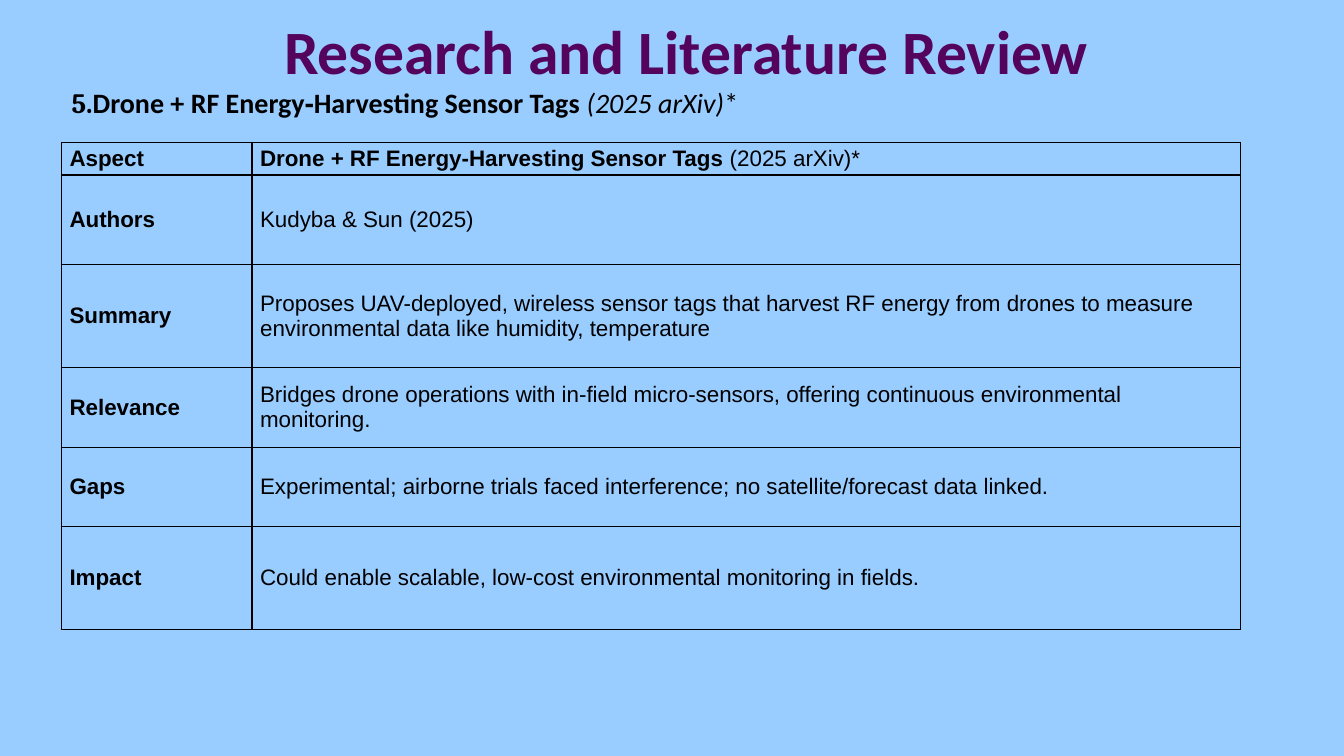
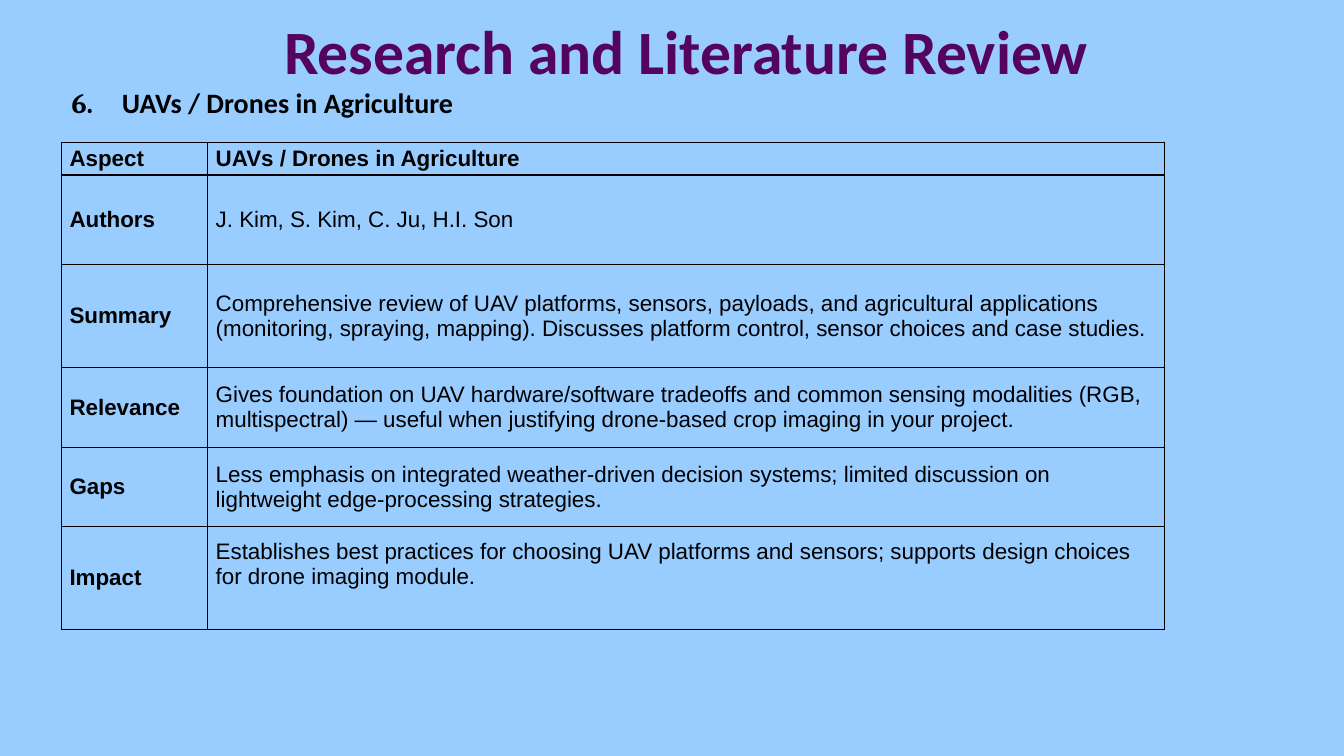
from lxml import etree
from pptx import Presentation, util as u
from pptx.dml.color import RGBColor
from pptx.enum import text
from pptx.oxml import ns

ASPECTS = ["Aspect", "Authors", "Summary", "Relevance", "Gaps", "Impact"]
ROW_HEIGHTS = [0.31, 0.89, 1.02, 0.79, 0.79, 1.02]
BOLD, ITALIC = {"bold": True}, {"italic": True}


def color(code):
    return RGBColor.from_string(code)


def assign(target, values):
    for name, value in values.items():
        setattr(target, name, value)


class Review:
    background = "99CCFF"
    ink = "000000"
    title_ink = "54045C"
    title_font = {"name": "Calibri", "size": u.Pt(44), "bold": True}
    heading_font = {"name": "Calibri", "size": u.Pt(20)}
    cell_font = {"name": "Arial", "size": u.Pt(16), "bold": False}
    cell_frame = {
        "vertical_anchor": text.MSO_ANCHOR.MIDDLE,
        "margin_left": u.Inches(0.08),
        "margin_right": u.Inches(0.08),
        "margin_top": u.Inches(0.04),
        "margin_bottom": u.Inches(0.04),
    }

    def __init__(self):
        self.deck = Presentation()
        assign(self.deck, {"slide_width": u.Inches(13.33), "slide_height": u.Inches(7.5)})
        fill = self.deck.slide_master.background.fill
        fill.solid()
        fill.fore_color.rgb = color(self.background)
        self.page = None

    def add_page(self):
        self.page = self.deck.slides.add_slide(self.deck.slide_layouts[1])

    def place(self, box, *bounds):
        assign(box, dict(zip(("left", "top", "width", "height"), map(u.Inches, bounds))))

    def add_spans(self, para, spans, font, ink):
        for words, extra in spans:
            span = para.add_run()
            span.text = words
            assign(span.font, {**font, **extra})
            span.font.color.rgb = color(ink)

    def title(self, words):
        box = self.page.shapes.title
        self.place(box, 0.81, -0.13, 12, 1.25)
        assign(box.text_frame, {"vertical_anchor": text.MSO_ANCHOR.MIDDLE, "word_wrap": True})
        para = box.text_frame.paragraphs[0]
        para.alignment = text.PP_ALIGN.CENTER
        self.add_spans(para, [(words, {})], self.title_font, self.title_ink)

    def heading(self, number, spans):
        box = self.page.placeholders[1]
        self.place(box, 0.61, 0.8, 12, 4.95)
        assign(box.text_frame, {"auto_size": text.MSO_AUTO_SIZE.NONE, "word_wrap": True})
        para = box.text_frame.paragraphs[0]
        properties = para._p.get_or_add_pPr()
        properties.set("marL", "0")
        properties.set("indent", "0")
        etree.SubElement(properties, ns.qn("a:buNone"))
        stops = etree.SubElement(properties, ns.qn("a:tabLst"))
        etree.SubElement(stops, ns.qn("a:tab"), pos=str(u.Inches(0.34)), algn="l")
        para.space_before = u.Pt(0)
        label = (number, {"name": "Cambria", "bold": True})
        self.add_spans(para, [label, *spans], self.heading_font, self.ink)

    def borders(self, cell):
        properties = cell._tc.get_or_add_tcPr()
        for side in ("lnL", "lnR", "lnT", "lnB"):
            line = etree.SubElement(properties, ns.qn("a:" + side), w=str(u.Pt(1)))
            solid = etree.SubElement(line, ns.qn("a:solidFill"))
            etree.SubElement(solid, ns.qn("a:srgbClr"), val=self.ink)

    def cell(self, cell, spans):
        assign(cell, self.cell_frame)
        self.borders(cell)
        cell.fill.background()
        self.add_spans(cell.text_frame.paragraphs[0], spans, self.cell_font, self.ink)

    def table(self, widths, header, details):
        frame = self.page.shapes.add_table(
            len(ASPECTS), 2, u.Inches(0.61), u.Inches(1.41),
            u.Inches(sum(widths)), u.Inches(sum(ROW_HEIGHTS)))
        table = frame.table
        assign(table, {"first_row": False, "horz_banding": False})
        for column, width in zip(table.columns, widths):
            column.width = u.Inches(width)
        contents = [header] + [[(detail, {})] for detail in details]
        for index, (aspect, spans) in enumerate(zip(ASPECTS, contents)):
            table.rows[index].height = u.Inches(ROW_HEIGHTS[index])
            self.cell(table.cell(index, 0), [(aspect, BOLD)])
            self.cell(table.cell(index, 1), spans)
        return table


def main():
    review = Review()
    title = "Research and Literature Review"

    review.add_page()
    review.title(title)
    topic = "Drone + RF Energy‑Harvesting Sensor Tags"
    review.heading("5.", [(topic + " ", BOLD), ("(2025 arXiv)", ITALIC), ("*", {})])
    review.table([1.89, 9.8], [(topic, BOLD), (" (2025 arXiv)*", {})], [
        "Kudyba & Sun (2025)",
        "Proposes UAV-deployed, wireless sensor tags that harvest RF energy from drones "
        "to measure environmental data like humidity, temperature",
        "Bridges drone operations with in-field micro-sensors, offering continuous "
        "environmental monitoring.",
        "Experimental; airborne trials faced interference; no satellite/forecast data linked.",
        "Could enable scalable, low-cost environmental monitoring in fields.",
    ])

    review.add_page()
    review.title(title)
    topic = "UAVs / Drones in Agriculture"
    review.heading("6.\t", [(topic, BOLD)])
    table = review.table([1.45, 9.49], [(topic, BOLD)], [
        "J. Kim, S. Kim, C. Ju, H.I. Son",
        "Comprehensive review of UAV platforms, sensors, payloads, and agricultural "
        "applications (monitoring, spraying, mapping). Discusses platform control, "
        "sensor choices and case studies.",
        "Gives foundation on UAV hardware/software tradeoffs and common sensing modalities "
        "(RGB, multispectral) — useful when justifying drone-based crop imaging in your project.",
        "Less emphasis on integrated weather-driven decision systems; limited discussion on "
        "lightweight edge-processing strategies.",
        "Establishes best practices for choosing UAV platforms and sensors; supports design "
        "choices for drone imaging module.",
    ])
    table.cell(5, 1).margin_bottom = u.Inches(0.32)

    review.deck.save("out.pptx")


if __name__ == "__main__":
    main()
